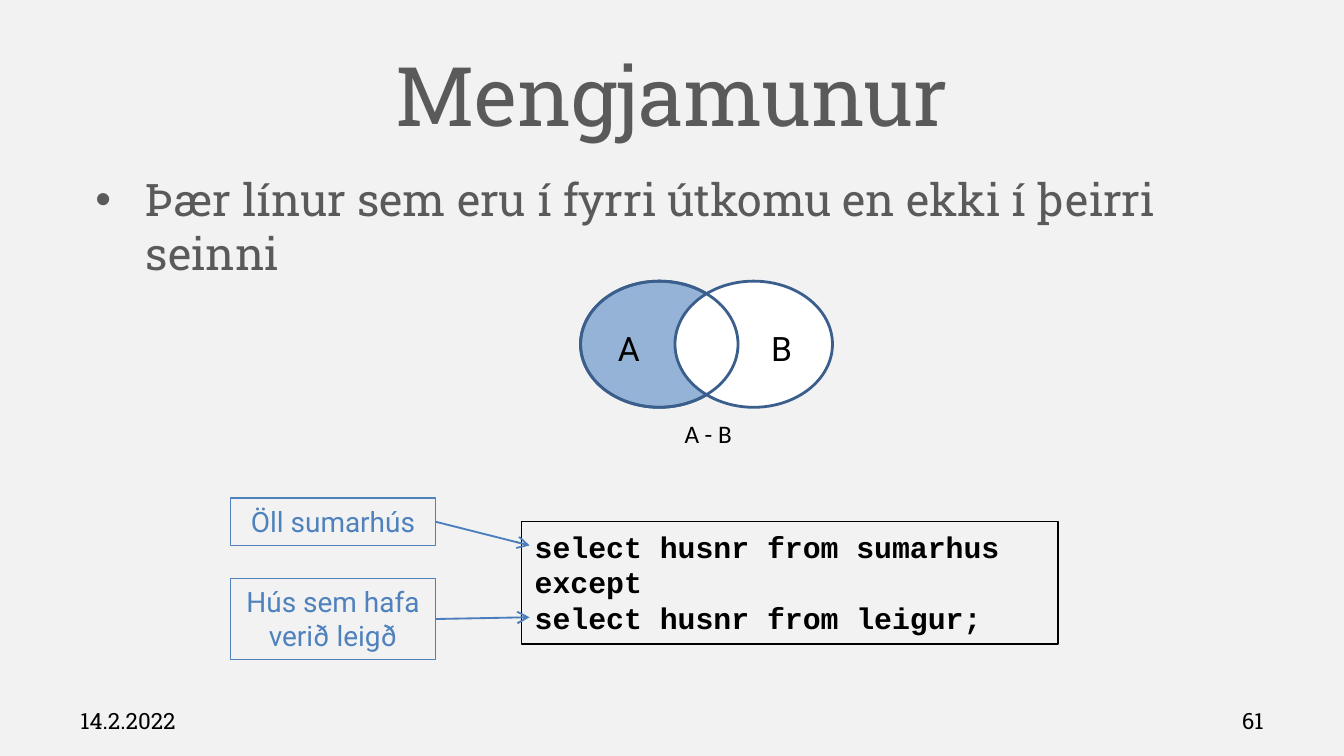
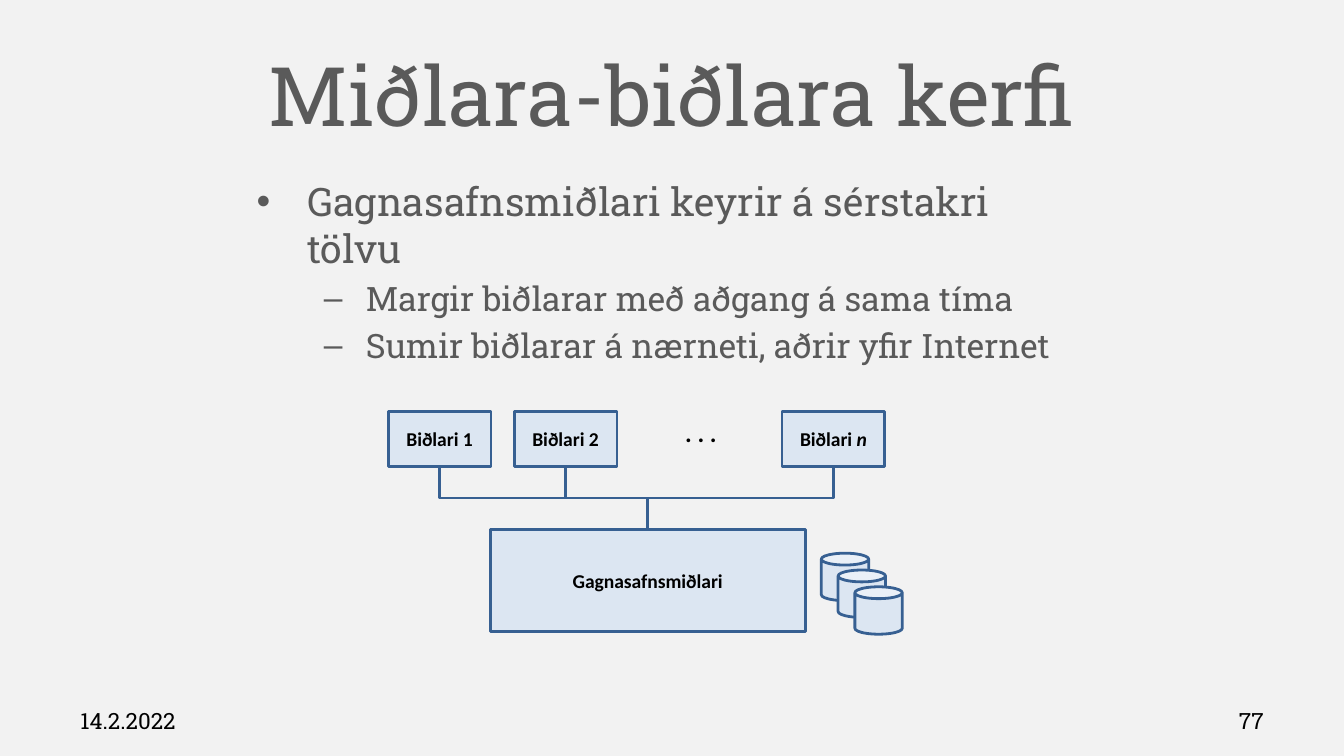
from dataclasses import dataclass
from pptx import Presentation
from pptx import util as u
from pptx.dml import color
from pptx.enum import shapes, text
from pptx.oxml import ns
from lxml import etree

Pt = u.Pt
KIND = shapes.MSO_SHAPE
LINK = shapes.MSO_CONNECTOR
SIDE = text.PP_ALIGN
HOLD = text.MSO_ANCHOR


@dataclass(frozen=True)
class Theme:
    paper: str = "F2F2F2"
    grey: str = "5A5A5A"
    ink: str = "000000"
    white: str = "FFFFFF"
    ring: str = "3A5F8C"
    shade: str = "95B3D7"
    note: str = "4F81BD"
    arrow: str = "4B7EBC"
    pale: str = "DCE6F2"
    edge: str = "376092"
    slab: str = "Roboto Slab"
    sans: str = "Roboto"
    plain: str = "Calibri"
    mono: str = "Courier New"
    title: float = 44
    foot: float = 12
    label: float = 18
    hint: float = 15
    code: float = 16
    small: float = 13.5
    node: float = 10.5


T = Theme()
BULLETS = (("•", 27, -27), ("–", 58.5, -22.5))


def rgb(code):
    return color.RGBColor.from_string(code)


def apply(item, form):
    for key, value in form.items():
        setattr(item, key, value)


def add(node, tag, **form):
    return etree.SubElement(node, ns.qn(tag), form)


def run(para, words, size, font, tone, **form):
    part = para.add_run()
    part.text = words
    apply(part.font, {"size": Pt(size), "name": font, **form})
    part.font.color.rgb = rgb(tone)


def write(shape, lines, size, font, tone=T.ink, side=SIDE.LEFT,
          hold=HOLD.TOP, wrap=True, **form):
    frame = shape.text_frame
    apply(frame, {"word_wrap": wrap, "vertical_anchor": hold})
    for i, words in enumerate(lines):
        para = frame.add_paragraph() if i else frame.paragraphs[0]
        para.alignment = side
        run(para, words, size, font, tone, **form)
    return frame


def label(slide, box, lines, size, font, **form):
    area = slide.shapes.add_textbox(*map(Pt, box))
    return write(area, lines, size, font, **form)


def draw(slide, kind, box, edge, width, fill=None):
    shape = slide.shapes.add_shape(kind, *map(Pt, box))
    shape.shadow.inherit = False
    if fill:
        shape.fill.solid()
        shape.fill.fore_color.rgb = rgb(fill)
    else:
        shape.fill.background()
    shape.line.color.rgb = rgb(edge)
    shape.line.width = Pt(width)
    return shape


def link(slide, kind, ends, tone, width):
    line = slide.shapes.add_connector(kind, *map(Pt, ends))
    line.line.color.rgb = rgb(tone)
    line.line.width = Pt(width)
    add(line._element.spPr, "a:effectLst")
    return line


def arrow(slide, *ends):
    line = link(slide, LINK.STRAIGHT, ends, T.arrow, 1)
    add(line.line._get_or_add_ln(), "a:tailEnd", type="arrow")


def elbow(slide, x, y, end, low):
    wide, high = abs(end - x), low - y
    left = (x + end - high) / 2
    top = (y + low - wide) / 2
    line = link(slide, LINK.ELBOW, (left, top, left + high, top + wide),
                T.edge, 1.25)
    frame = line._element.spPr.get_or_add_xfrm()
    turn = {"rot": "16200000", "flipH": "1"} if end > x else {"rot": "5400000"}
    for key, value in turn.items():
        frame.set(key, value)


def points(slide, box, items):
    area = slide.shapes.add_textbox(*map(Pt, box))
    area.text_frame.word_wrap = True
    for i, (level, words, size) in enumerate(items):
        frame = area.text_frame
        para = frame.add_paragraph() if i else frame.paragraphs[0]
        mark, left, hang = BULLETS[level]
        apply(para, {"level": level, "space_before": Pt(size * 0.2)})
        prop = para._p.get_or_add_pPr()
        prop.set("marL", str(Pt(left)))
        prop.set("indent", str(Pt(hang)))
        add(prop, "a:buFont", typeface="Arial")
        add(prop, "a:buChar", char=mark)
        run(para, words, size, T.slab, T.grey)


def page(deck, title, number):
    slide = deck.slides.add_slide(deck.slide_layouts[6])
    slide.background.fill.solid()
    slide.background.fill.fore_color.rgb = rgb(T.paper)
    label(slide, (36, 16.5, 648, 67.5), [title], T.title, T.slab,
          tone=T.grey, side=SIDE.CENTER, hold=HOLD.MIDDLE)
    for x, words, side in ((36, "14.2.2022", SIDE.LEFT),
                           (516, number, SIDE.RIGHT)):
        label(slide, (x, 375.4, 168, 21.6), [words], T.foot, T.slab,
              side=side, hold=HOLD.MIDDLE)
    return slide


def venn(slide):
    for x, fill in ((311, T.shade), (361.6, T.white), (311, None)):
        draw(slide, KIND.OVAL, (x, 150.6, 84.4, 67.6), T.ring, 1.5, fill)
    for x, name in ((324, "A"), (406, "B")):
        label(slide, (x, 172, 26.6, 29), [name], T.label, T.sans, wrap=False)
    label(slide, (359.7, 220.5, 40.3, 23.8), ["A - B"], T.small, T.plain,
          wrap=False)


def query(slide):
    box = draw(slide, KIND.RECTANGLE, (279.4, 279.4, 287.6, 65.5), T.ink, 1)
    write(box, ["select husnr from sumarhus", "except",
                "select husnr from leigur;"], T.code, T.mono, bold=True)
    for y, high, words, tip in (
            (266.8, 25.4, "Öll sumarhús", 292.2),
            (309.8, 43.7, "Hús sem hafa verið leigð", 330.7)):
        box = draw(slide, KIND.RECTANGLE, (123.6, y, 109.7, high),
                   T.note, 0.75)
        write(box, [words], T.hint, T.sans, T.note, SIDE.CENTER)
        arrow(slide, 233.3, y + high / 2, 283.7, tip)


def node(slide, box, words):
    shape = draw(slide, KIND.RECTANGLE, box, T.edge, 1.5, T.pale)
    return write(shape, [words], T.node, T.plain, side=SIDE.CENTER,
                 hold=HOLD.MIDDLE, bold=True)


def server(slide):
    top, wide, high, base = 220.3, 55.1, 29.5, 283.6
    hub = (262.6, base, 168.8, 54.8)
    node(slide, hub, "Gagnasafnsmiðlari")
    for x, words in ((208, "Biðlari 1"), (275.5, "Biðlari 2"),
                     (419, "Biðlari ")):
        frame = node(slide, (x, top, wide, high), words)
        elbow(slide, x + wide / 2, top + high, hub[0] + hub[2] / 2, base)
    run(frame.paragraphs[0], "n", T.node, T.plain, T.ink,
        bold=True, italic=True)
    label(slide, (360, top, 31.7, 23.8), [". . ."], T.small, T.plain,
          wrap=False, bold=True)
    for i in range(3):
        draw(slide, KIND.CAN, (440 + 9 * i, 296.4 + 9 * i, 25.4, 25.4),
             T.edge, 1.5, T.pale)


def main():
    deck = Presentation()
    apply(deck, {"slide_width": Pt(720), "slide_height": Pt(405)})
    slide = page(deck, "Mengjamunur", "61")
    points(slide, (44, 88.6, 611, 53.3), [
        (0, "Þær línur sem eru í fyrri útkomu en ekki í þeirri seinni", 24)])
    venn(slide)
    query(slide)
    slide = page(deck, "Miðlara-biðlara kerfi", "77")
    points(slide, (130.4, 91.4, 459.4, 98), [
        (0, "Gagnasafnsmiðlari keyrir á sérstakri tölvu", 21),
        (1, "Margir biðlarar með aðgang á sama tíma", 18),
        (1, "Sumir biðlarar á nærneti, aðrir yfir Internet", 18)])
    server(slide)
    deck.save("out.pptx")


if __name__ == "__main__":
    main()
